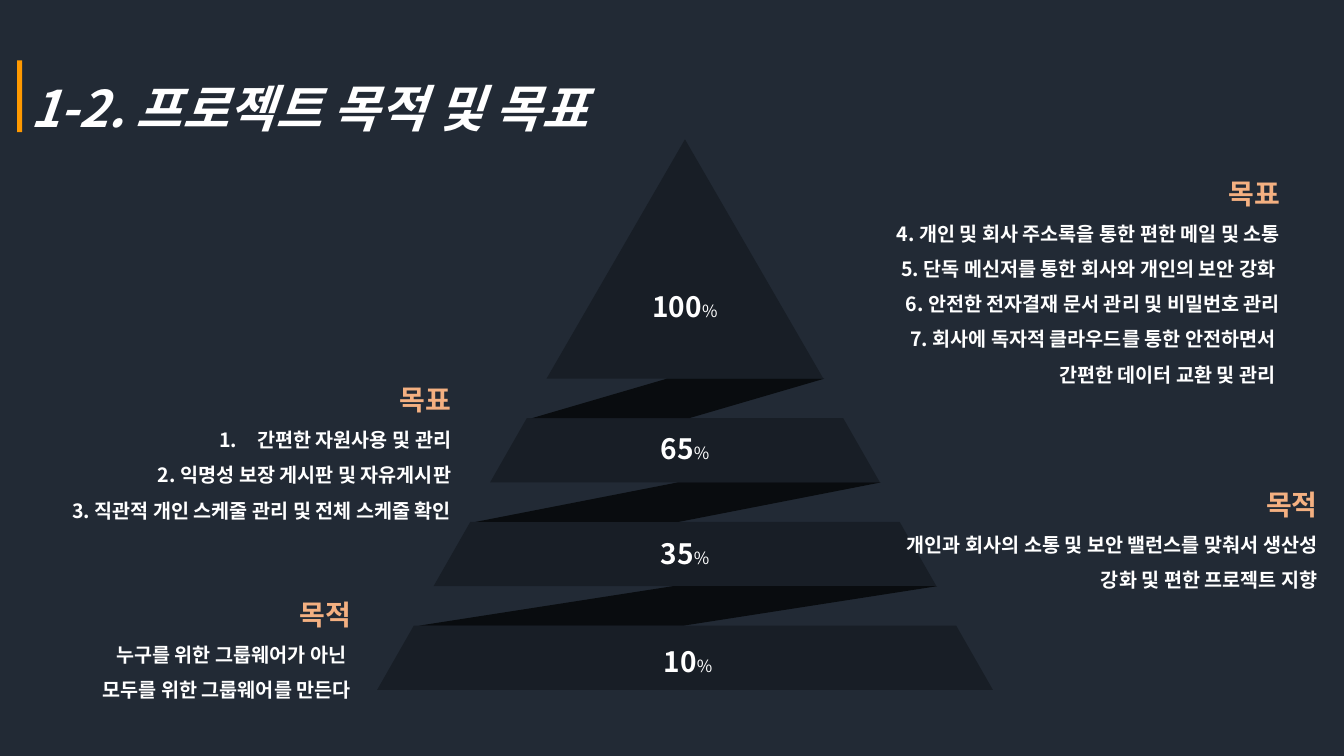
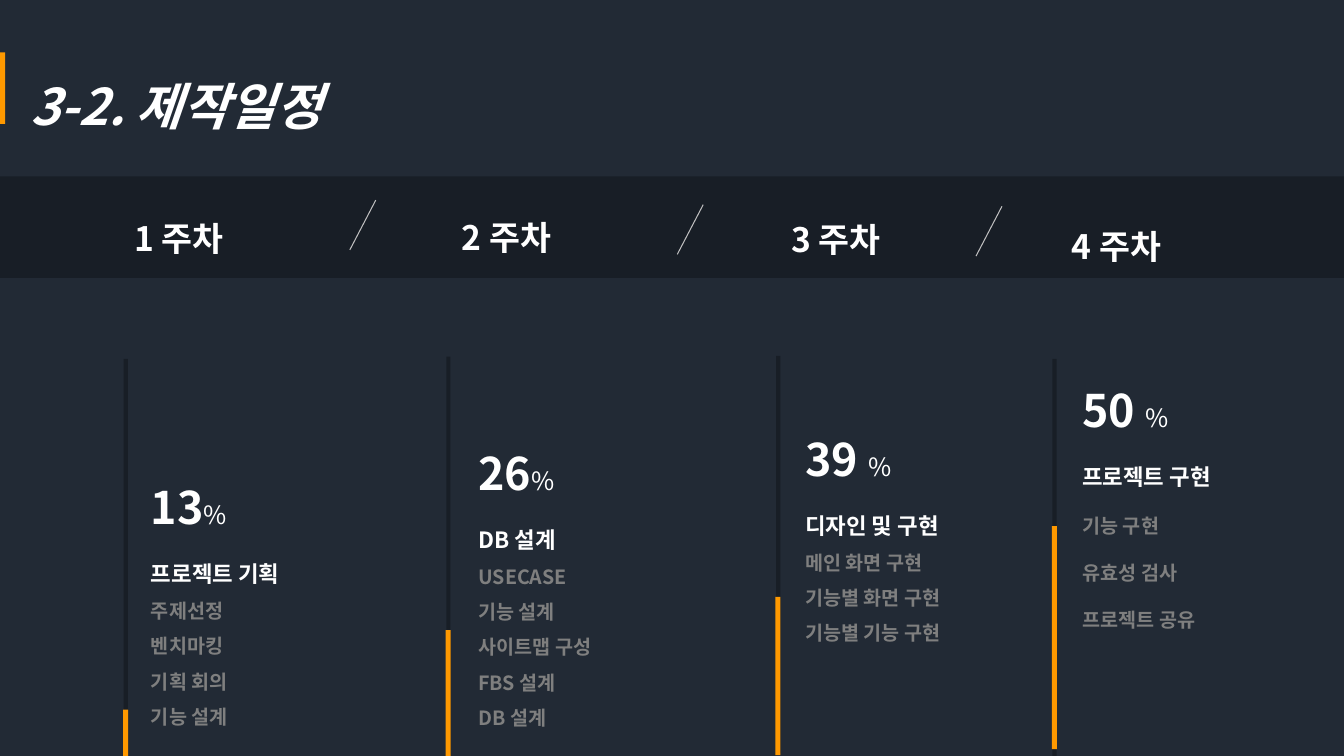
import lxml.etree
import pptx
import pptx.dml.color
import pptx.enum.shapes
import pptx.enum.text
import pptx.oxml.ns
import pptx.util

Pt = pptx.util.Pt
SHAPES = pptx.enum.shapes.MSO_SHAPE
ALIGN = pptx.enum.text.PP_ALIGN
qn = pptx.oxml.ns.qn

# Shared style
FONT = "Noto Sans CJK KR"
BACKGROUND, PANEL, RIBBON = "222A35", "181E26", "090C0F"
ORANGE, PEACH, WHITE = "FF9900", "F4B081", "FFFFFF"
GRAY, SLASH = "7F7F7F", "BFBFBF"

# Pyramid content: number, label left, label top
TIERS = [("100", 437.8, 203), ("65", 437.8, 304.5),
         ("35", 437.8, 379.5), ("10", 440, 456.5)]
RIBBON_SLANTS = [3.42, 5.12, 6.43]
NUMBERED = "numbered"
# Notes: left, top, width, height, heading, lines
NOTES = [
    (14.4, 411, 243.4, 94, "목적",
     ["누구를 위한 그룹웨어가 아닌 ", "모두를 위한 그룹웨어를 만든다"]),
    (639.4, 332.6, 308.9, 94, "목적",
     ["개인과 회사의 소통 및 보안 밸런스를 맞춰서 생산성 강화 및 편한 프로젝트 지향"]),
    (0, 257.8, 329.5, 120, "목표",
     [(NUMBERED, "간편한 자원사용 및 관리"),
      "2. 익명성 보장 게시판 및 자유게시판",
      "3. 직관적 개인 스케줄 관리 및 전체 스케줄 확인"]),
    (542.9, 110.2, 378.7, 171, "목표",
     ["4. 개인 및 회사 주소록을 통한 편한 메일 및 소통",
      "5. 단독 메신저를 통한 회사와 개인의 보안 강화 ",
      "6. 안전한 전자결재 문서 관리 및 비밀번호 관리",
      "7. 회사에 독자적 클라우드를 통한 안전하면서 ",
      "간편한 데이터 교환 및 관리 "]),
]

# Schedule content
WEEKS = [
    dict(week="1 주차", week_at=(85, 137.5, 85.7), track=(88.4, 256.3),
         bar=(506.9, 540), text_at=(100.8, 339.1), percent="13",
         stage="프로젝트 기획", spacing=1.5,
         tasks=["주제선정", "벤치마킹", "기획 회의", "기능 설계"]),
    dict(week="2 주차", week_at=(319, 136.8, 85.7), track=(318.8, 254.8),
         bar=(450, 540), text_at=(334.6, 314.6), percent="26",
         stage="DB 설계", spacing=1.5,
         tasks=["USECASE", "기능 설계", "사이트맵 구성", "FBS 설계", "DB 설계"]),
    dict(week="3 주차", week_at=(554.4, 138.2, 85.7), track=(554.4, 254.2),
         bar=(426.3, 539.5), text_at=(568.1, 304.6), percent="39 ",
         stage="디자인 및 구현", spacing=1.5,
         tasks=["메인 화면 구현", "기능별 화면 구현", "기능별 기능 구현"]),
    dict(week="4 주차", week_at=(742.3, 143.3, 110.2), track=(751.8, 256.3),
         bar=(375.8, 535.2), text_at=(766.1, 270), percent="50 ",
         stage="프로젝트 구현", spacing=2,
         tasks=["기능 구현", "유효성 검사", "프로젝트 공유"]),
]
SLASHES = [(249.9, 143), (483.8, 146.2), (697.2, 147.4)]


def color(value):
    return pptx.dml.color.RGBColor.from_string(value)


def paint(shape, fill):
    shape.shadow.inherit = False
    shape.fill.solid()
    shape.fill.fore_color.rgb = color(fill)
    shape.line.fill.background()


def add_block(page, kind, left, top, width, height, fill):
    block = page.shapes.add_shape(kind, Pt(left), Pt(top), Pt(width), Pt(height))
    paint(block, fill)
    return block


def add_outline(page, points, fill):
    points = [(Pt(x), Pt(y)) for x, y in points]
    builder = page.shapes.build_freeform(*points[0], scale=1.0)
    builder.add_line_segments(points[1:], close=True)
    paint(builder.convert_to_shape(), fill)


def number_first(para):
    """Automatic numbering with a hanging indent."""
    properties = para._p.get_or_add_pPr()
    properties.set("marL", str(Pt(27)))
    properties.set("indent", str(-Pt(27)))
    bullet_color = lxml.etree.SubElement(properties, qn("a:buClr"))
    lxml.etree.SubElement(bullet_color, qn("a:srgbClr"), val=WHITE)
    lxml.etree.SubElement(properties, qn("a:buAutoNum"), type="arabicPeriod")


def add_text(page, left, top, width, height, lines, align=ALIGN.LEFT):
    """Each line: text or (number, size, percent size), size, colour, spacing, options."""
    box = page.shapes.add_textbox(Pt(left), Pt(top), Pt(width), Pt(height))
    frame = box.text_frame
    frame.word_wrap = True
    frame.auto_size = pptx.enum.text.MSO_AUTO_SIZE.SHAPE_TO_FIT_TEXT
    for index, (text, size, tint, spacing, *options) in enumerate(lines):
        para = frame.add_paragraph() if index else frame.paragraphs[0]
        if NUMBERED in options:
            number_first(para)
        para.alignment = align
        para.line_spacing = float(spacing)
        font = para.font
        font.name = FONT
        font.color.rgb = color(tint)
        properties = para._p.get_or_add_pPr().find(qn("a:defRPr"))
        lxml.etree.SubElement(properties, qn("a:ea"), typeface=FONT)
        if "italic" in options:
            font.italic = True
        if isinstance(text, str):
            font.size = Pt(size)
            font.bold = True
            para.add_run().text = text
            continue
        for part, part_size, bold in zip(text, size, (True, False)):
            span = para.add_run()
            span.text = part
            span.font.size = Pt(part_size)
            span.font.bold = bold


def add_page(deck, title, title_top, accent_left, accent_top):
    page = deck.slides.add_slide(deck.slide_layouts[6])
    add_text(page, 14.4, title_top, 463, 73, [(title, 36, WHITE, 1.5, "italic")])
    add_block(page, SHAPES.RECTANGLE, accent_left, accent_top, 3.6, 51.2, ORANGE)
    return page


def build_goals(deck):
    page = add_page(deck, "1-2. 프로젝트 목적 및 목표", 30.2, 12.3, 43.2)
    center, ribbon_height = 489.3, 28.2

    # Pyramid tiers, each wider than the one above by the same step
    bases = [(270.5 + 74.1 * i, 98.9 + 40.35 * i) for i in range(len(TIERS))]
    for index, (bottom, half) in enumerate(bases):
        height, slant = (46, 26.3) if index else (171, half)
        corners = [(center - half + slant, bottom - height),
                   (center + half - slant, bottom - height),
                   (center + half, bottom), (center - half, bottom)]
        add_outline(page, corners if index else corners[1:], PANEL)

    # Ribbons joining the tiers
    for (bottom, half), slant in zip(bases, RIBBON_SLANTS):
        width = 2 * half + 11
        ribbon = add_block(page, SHAPES.PARALLELOGRAM, center + half + 0.5 - width,
                           bottom, width, ribbon_height, RIBBON)
        ribbon.adjustments[0] = slant

    # Percentages and notes
    for number, left, top in TIERS:
        add_text(page, left, top, 103, 31.7,
                 [((number, "%"), (20, 12), WHITE, 1)], ALIGN.CENTER)
    for left, top, width, height, heading, lines in NOTES:
        rows = [(heading, 20, PEACH, 1.5)]
        for line in lines:
            *options, text = [line] if isinstance(line, str) else line
            rows.append((text, 14, WHITE, 1.5, *options))
        add_text(page, left, top, width, height, rows, ALIGN.RIGHT)


def build_schedule(deck):
    page = add_page(deck, "3-2. 제작일정", 28.8, 0, 37.4)

    # Week band with slashes
    add_block(page, SHAPES.RECTANGLE, 0, 126, 960, 72.5, PANEL)
    for left, top in SLASHES:
        slash = page.shapes.add_connector(
            pptx.enum.shapes.MSO_CONNECTOR.STRAIGHT,
            Pt(left + 18.5), Pt(top), Pt(left), Pt(top + 35.5))
        slash.line.color.rgb = color(SLASH)
        slash.line.width = Pt(0.75)
        lxml.etree.SubElement(slash._element.spPr, qn("a:effectLst"))

    # One progress column per week
    for week in WEEKS:
        left, top, width = week["week_at"]
        add_text(page, left, top, width, 51, [(week["week"], 24, WHITE, 1.5)],
                 ALIGN.CENTER)
        track_left, track_top = week["track"]
        bar_top, bar_bottom = week["bar"]
        add_block(page, SHAPES.RECTANGLE, track_left, track_top, 3, 283.7, PANEL)
        add_block(page, SHAPES.RECTANGLE, track_left - 0.5, bar_top, 3.6,
                  bar_bottom - bar_top, ORANGE)
        rows = [((week["percent"], "%"), (32, 18), WHITE, 1),
                (week["stage"], 16, WHITE, 2)]
        rows += [(task, 14, GRAY, week["spacing"]) for task in week["tasks"]]
        add_text(page, *week["text_at"], 158.4, 186, rows)


def main():
    deck = pptx.Presentation()
    deck.slide_width, deck.slide_height = Pt(960), Pt(540)
    backdrop = deck.slide_master.background.fill
    backdrop.solid()
    backdrop.fore_color.rgb = color(BACKGROUND)
    build_goals(deck)
    build_schedule(deck)
    deck.save("out.pptx")


if __name__ == "__main__":
    main()
